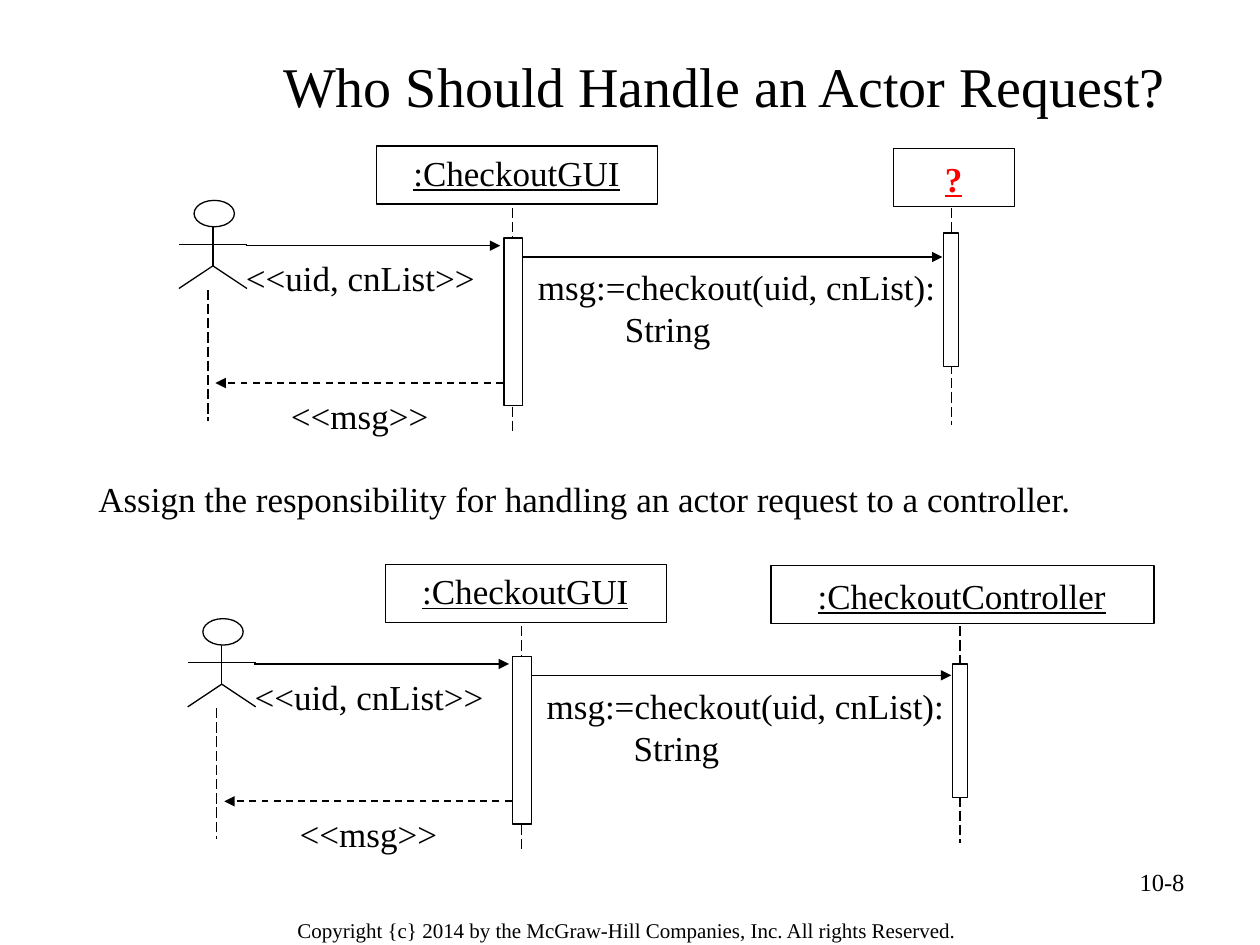
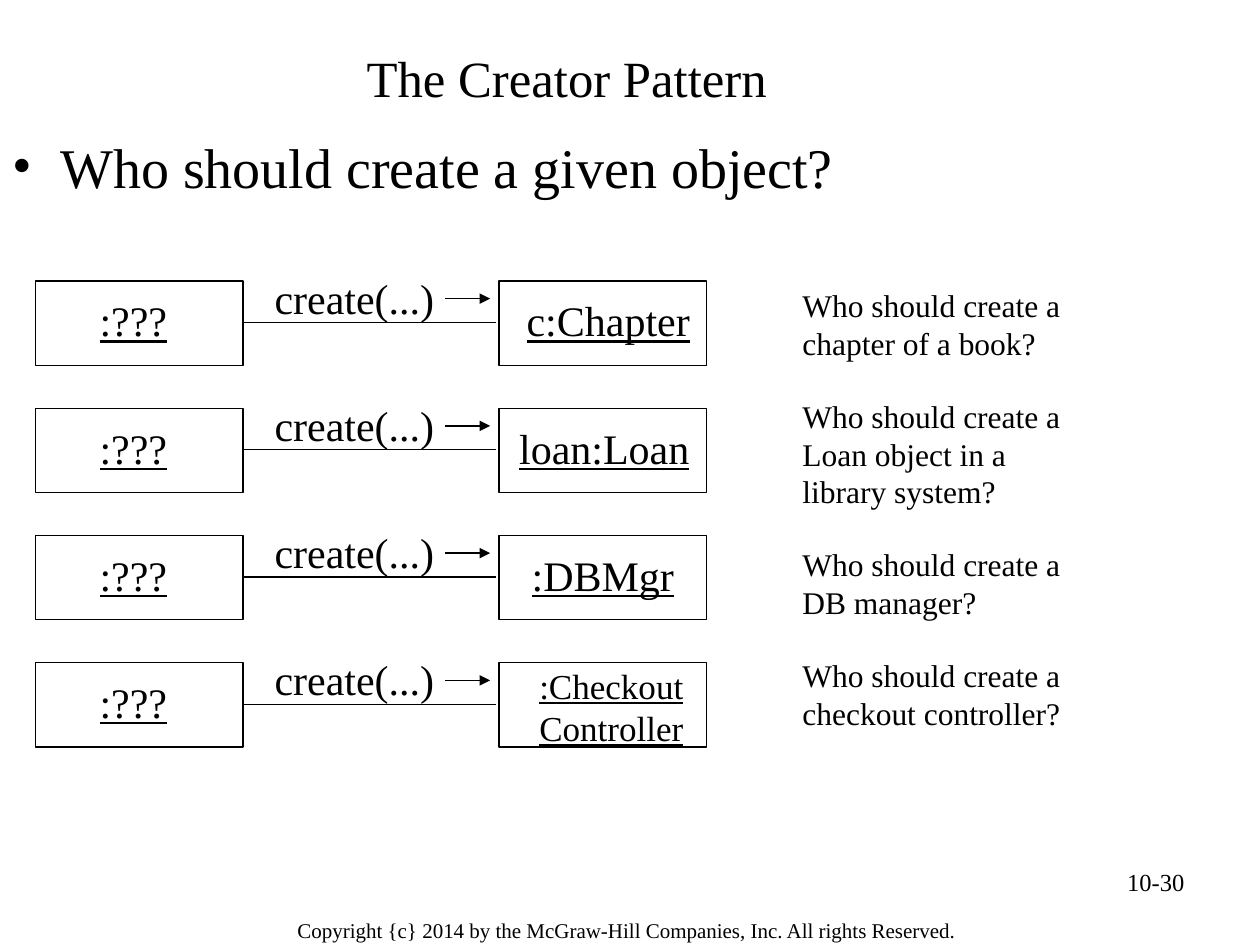
"""Builds two slides on sequence diagrams and the creator pattern."""
from dataclasses import dataclass

from lxml import etree
from pptx import Presentation
from pptx.dml.color import RGBColor
from pptx.enum.dml import MSO_LINE
from pptx.enum.shapes import MSO_CONNECTOR, MSO_SHAPE
from pptx.enum.text import MSO_ANCHOR, MSO_AUTO_SIZE, PP_ALIGN
from pptx.oxml.ns import qn
from pptx.util import Inches, Pt

LEFT, CENTER, RIGHT = PP_ALIGN.LEFT, PP_ALIGN.CENTER, PP_ALIGN.RIGHT
MIDDLE = MSO_ANCHOR.MIDDLE
GROW, FIXED = MSO_AUTO_SIZE.SHAPE_TO_FIT_TEXT, MSO_AUTO_SIZE.NONE
STRAIGHT = MSO_CONNECTOR.STRAIGHT
RECTANGLE, OVAL = MSO_SHAPE.RECTANGLE, MSO_SHAPE.OVAL
LONG_DASH, DASH = MSO_LINE.LONG_DASH, MSO_LINE.DASH
FONT = "Times New Roman"
COLORS = {"ink": "000000", "paper": "FFFFFF", "unknown": "FF0000"}
COPYRIGHT = "Copyright {c} 2014 by the McGraw-Hill Companies, Inc. All rights Reserved."
TITLE_ONLY = 5
Area = tuple[float, float, float, float]
Point = tuple[float, float]


@dataclass
class Receiver:
    """The object at the right of a sequence diagram."""
    name: str
    box: Area
    name_area: Area
    bar_top: float
    color: str = "ink"
    bold: bool = False


@dataclass
class Sequence:
    """A checkout sequence diagram, moved right and down from the first."""
    right: float
    down: float
    receiver: Receiver


@dataclass
class Creation:
    """A row asking who creates a target object."""
    target: str
    name_left: float
    name_width: float
    question: str
    question_height: float = 0.7
    name_drop: float = 0.11
    name_height: float = 0.4
    size: float = 24


SEQUENCES = [
    Sequence(0, 0, Receiver("?", (7.09, 1.18, 0.96, 0.46), (7.4, 1.2, 0.34, 0.44),
                            1.85, "unknown", True)),
    Sequence(0.07, 3.32, Receiver(":CheckoutController", (6.12, 4.49, 3.04, 0.46),
                                  (6.39, 4.51, 2.49, 0.44), 5.27)),
]
CREATIONS = [
    Creation("c:Chapter", 4.18, 1.33, "Who should create a chapter of a book?"),
    Creation("loan:Loan", 4.12, 1.39,
             "Who should create a Loan object in a library system?", 1),
    Creation(":DBMgr", 4.22, 1.16, "Who should create a DB manager?"),
    Creation(":Checkout\nController", 4.28, 1.18,
             "Who should create a checkout controller?",
             name_drop=0.01, name_height=0.67, size=20),
]


def rgb(name: str) -> RGBColor:
    """Return a named colour."""
    return RGBColor.from_string(COLORS[name])


def place(box, area: Area) -> None:
    """Move and size a shape in inches."""
    box.left, box.top, box.width, box.height = map(Inches, area)


def write(box, text: str, *, size: float = 20, align=LEFT, color: str = "ink",
          bold: bool = False, underline: bool = False, wrap: bool = True,
          grow: bool = True, inset: Point = (0.1, 0.05), spacing: float = 1,
          last_indent: float = 0, bullet_indent: float = 0) -> None:
    """Fill a box with one formatted paragraph per line of text."""
    frame = box.text_frame
    frame.word_wrap = wrap
    frame.auto_size = GROW if grow else FIXED
    frame.margin_left = frame.margin_right = Inches(inset[0])
    frame.margin_top = frame.margin_bottom = Inches(inset[1])
    frame.text = text
    for para in frame.paragraphs:
        para.alignment = align
        para.line_spacing = spacing
        if bullet_indent:
            properties = para._p.get_or_add_pPr()
            properties.set("marL", str(Inches(bullet_indent)))
            properties.set("indent", str(-Inches(bullet_indent)))
            etree.SubElement(properties, qn("a:buFont"), typeface=FONT)
            etree.SubElement(properties, qn("a:buChar"), char="•")
        for span in para.runs:
            font = span.font
            font.name, font.size = FONT, Pt(size)
            font.bold, font.underline = bold, underline
            font.color.rgb = rgb(color)
    if last_indent:
        frame.paragraphs[-1]._p.get_or_add_pPr().set("marL", str(Inches(last_indent)))


def add_text(page, text: str, area: Area, **style) -> None:
    """Add a text box."""
    write(page.shapes.add_textbox(*map(Inches, area)), text, **style)


def add_outline(page, area: Area, kind=RECTANGLE, filled: bool = False) -> None:
    """Add a thin outlined shape, hollow or filled with paper colour."""
    shape = page.shapes.add_shape(kind, *map(Inches, area))
    shape.shadow.inherit = False
    if filled:
        shape.fill.solid()
        shape.fill.fore_color.rgb = rgb("paper")
    else:
        shape.fill.background()
    shape.line.color.rgb = rgb("ink")
    shape.line.width = Pt(0.75)


def add_line(page, start: Point, end: Point, *, dash=None, arrow: bool = False,
             width: float = 0.75) -> None:
    """Add a straight line, with an arrowhead at its end if asked."""
    line = page.shapes.add_connector(STRAIGHT, *map(Inches, (*start, *end)))
    line.line.color.rgb = rgb("ink")
    line.line.width = Pt(width)
    if dash is not None:
        line.line.dash_style = dash
    properties = line._element.spPr
    if arrow:
        etree.SubElement(properties.find(qn("a:ln")), qn("a:tailEnd"), type="triangle")
    etree.SubElement(properties, qn("a:effectLst"))


def add_page(deck, title: str, title_area: Area, title_size: float, number: str):
    """Add a slide with its title, page number and copyright line."""
    page = deck.slides.add_slide(deck.slide_layouts[TITLE_ONLY])
    place(page.shapes.title, title_area)
    write(page.shapes.title, title, size=title_size, align=CENTER, grow=False)
    page.shapes.title.text_frame.vertical_anchor = MIDDLE
    add_text(page, COPYRIGHT, (1.88, 7.22, 6.19, 0.31), size=12, align=CENTER,
             inset=(0.11, 0.06))
    add_text(page, number, (7.17, 6.83, 2.33, 0.52), size=14, align=RIGHT, grow=False)
    return page


def draw_sequence(page, sequence: Sequence) -> None:
    """Draw the actor, the user interface, the receiver and their messages."""
    receiver = sequence.receiver

    def at(x: float, y: float) -> Point:
        """Return a point moved with the diagram."""
        return x + sequence.right, y + sequence.down

    def area(x: float, y: float, width: float, height: float) -> Area:
        """Return an area moved with the diagram."""
        return *at(x, y), width, height

    for x, top, bottom in [(7.55, 1.65, 3.37), (1.65, 2.3, 3.34), (4.07, 1.65, 3.43)]:
        add_line(page, at(x, top), at(x, bottom), dash=LONG_DASH)

    add_line(page, at(1.95, 1.95), at(3.97, 1.95), arrow=True)
    add_text(page, "<<uid, cnList>>", area(1.85, 1.99, 2.02, 0.44), align=CENTER)
    add_line(page, at(4.12, 2.04), at(7.48, 2.04), arrow=True)
    add_text(page, "msg:=checkout(uid, cnList):\nString", area(4.17, 2.06, 3.78, 0.77),
             last_indent=0.69)
    add_line(page, at(3.99, 3.04), at(1.71, 3.04), dash=DASH, arrow=True, width=1)
    add_text(page, "<<msg>>", area(2.21, 3.08, 1.29, 0.44), wrap=False)

    add_outline(page, area(1.54, 1.59, 0.32, 0.21), OVAL)
    hip = at(1.69, 2.11)
    add_line(page, at(1.69, 1.8), hip)
    for foot in (1.42, 1.96):
        add_line(page, hip, at(foot, 2.29))
    add_line(page, at(1.42, 1.94), at(1.96, 1.94))

    add_outline(page, area(2.99, 1.16, 2.23, 0.46))
    add_text(page, ":CheckoutGUI", area(3.17, 1.19, 1.86, 0.4), align=CENTER,
             underline=True, spacing=0.9)
    add_outline(page, area(4, 1.89, 0.15, 1.33), filled=True)

    add_outline(page, receiver.box, filled=True)
    add_text(page, receiver.name, receiver.name_area, color=receiver.color,
             bold=receiver.bold, underline=True, wrap=False)
    add_outline(page, (7.49 + sequence.right, receiver.bar_top, 0.12, 1.06), filled=True)


def draw_creation(page, creation: Creation, top: float) -> None:
    """Draw an unknown creator linked to its target object."""
    label = {"size": 24, "wrap": False, "inset": (0, 0)}
    for left in (0.28, 3.96):
        add_outline(page, (left, top, 1.65, 0.67))
    add_text(page, ":???", (0.79, top + 0.11, 0.56, 0.4), underline=True, **label)
    add_text(page, creation.target,
             (creation.name_left, top + creation.name_drop,
              creation.name_width, creation.name_height),
             underline=True, **(label | {"size": creation.size}))
    add_line(page, (1.93, top + 0.33), (3.94, top + 0.33))
    add_text(page, "create(...)", (2.18, top - 0.07, 1.3, 0.4), **label)
    add_line(page, (3.53, top + 0.14), (3.89, top + 0.14), arrow=True)


def build_request_page(deck) -> None:
    """Build the slide on handling an actor request."""
    page = add_page(deck, "Who Should Handle an Actor Request?",
                    (1.5, 0.26, 8.5, 0.83), 32, "10-8")
    for sequence in SEQUENCES:
        draw_sequence(page, sequence)
    add_text(page,
             "Assign the responsibility for handling an actor request to a controller.",
             (0.78, 3.79, 7.78, 0.33), inset=(0, 0))


def build_creator_page(deck) -> None:
    """Build the slide on the creator pattern."""
    page = add_page(deck, "The Creator Pattern", (0, 0.3, 9, 0.62), 29, "10-30")
    add_text(page, "Who should create a given object?", (0, 1, 9, 0.67), size=32,
             grow=False, bullet_indent=0.38)
    question_top = 2.22
    for row, creation in enumerate(CREATIONS):
        draw_creation(page, creation, 2.23 + 1.01 * row)
        add_text(page, creation.question,
                 (6.27, question_top, 2.51, creation.question_height), size=18)
        question_top += creation.question_height + 0.18


def main() -> None:
    """Build and save the deck."""
    deck = Presentation()
    deck.slide_width, deck.slide_height = Inches(10), Inches(7.5)
    build_request_page(deck)
    build_creator_page(deck)
    deck.save("out.pptx")


if __name__ == "__main__":
    main()
